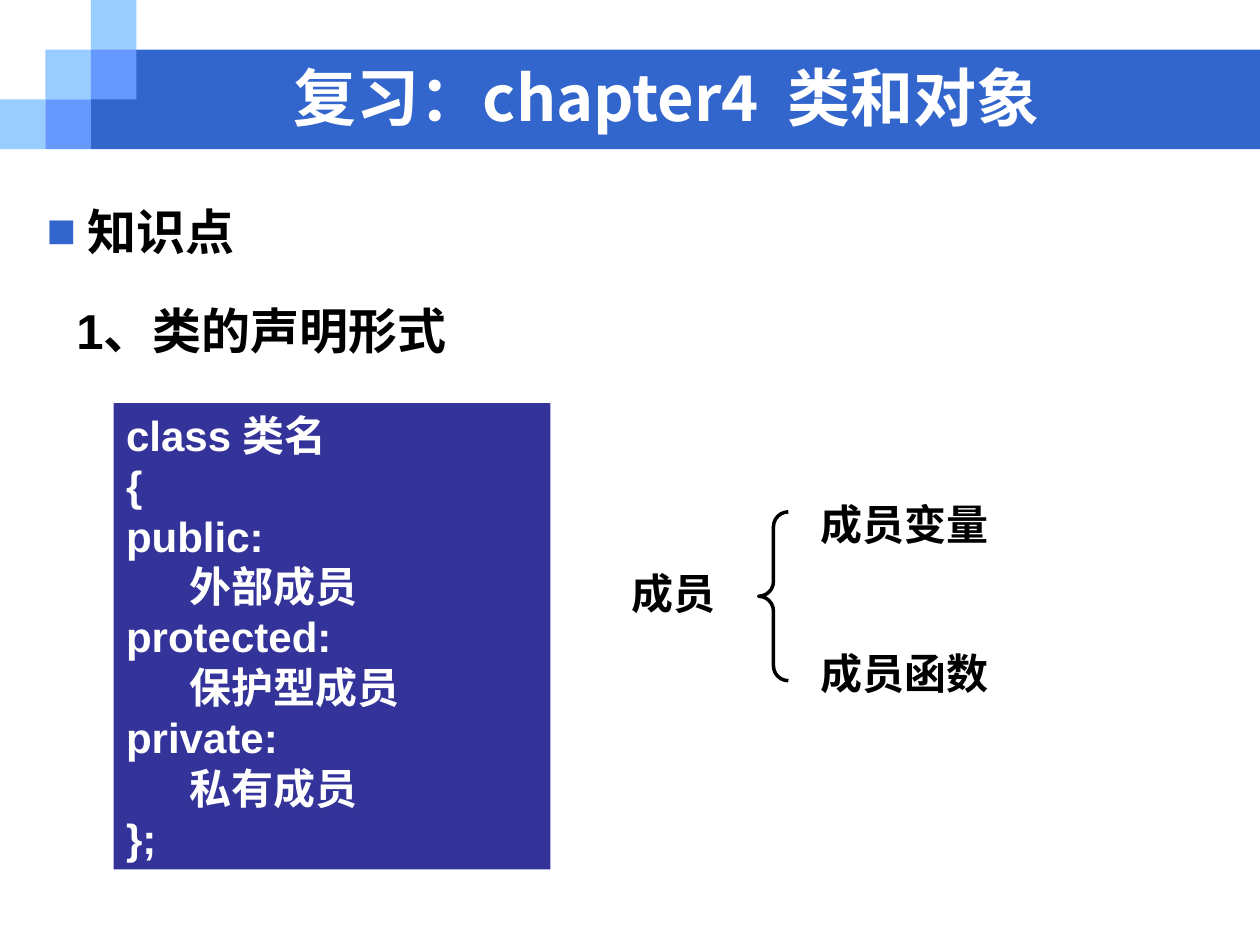
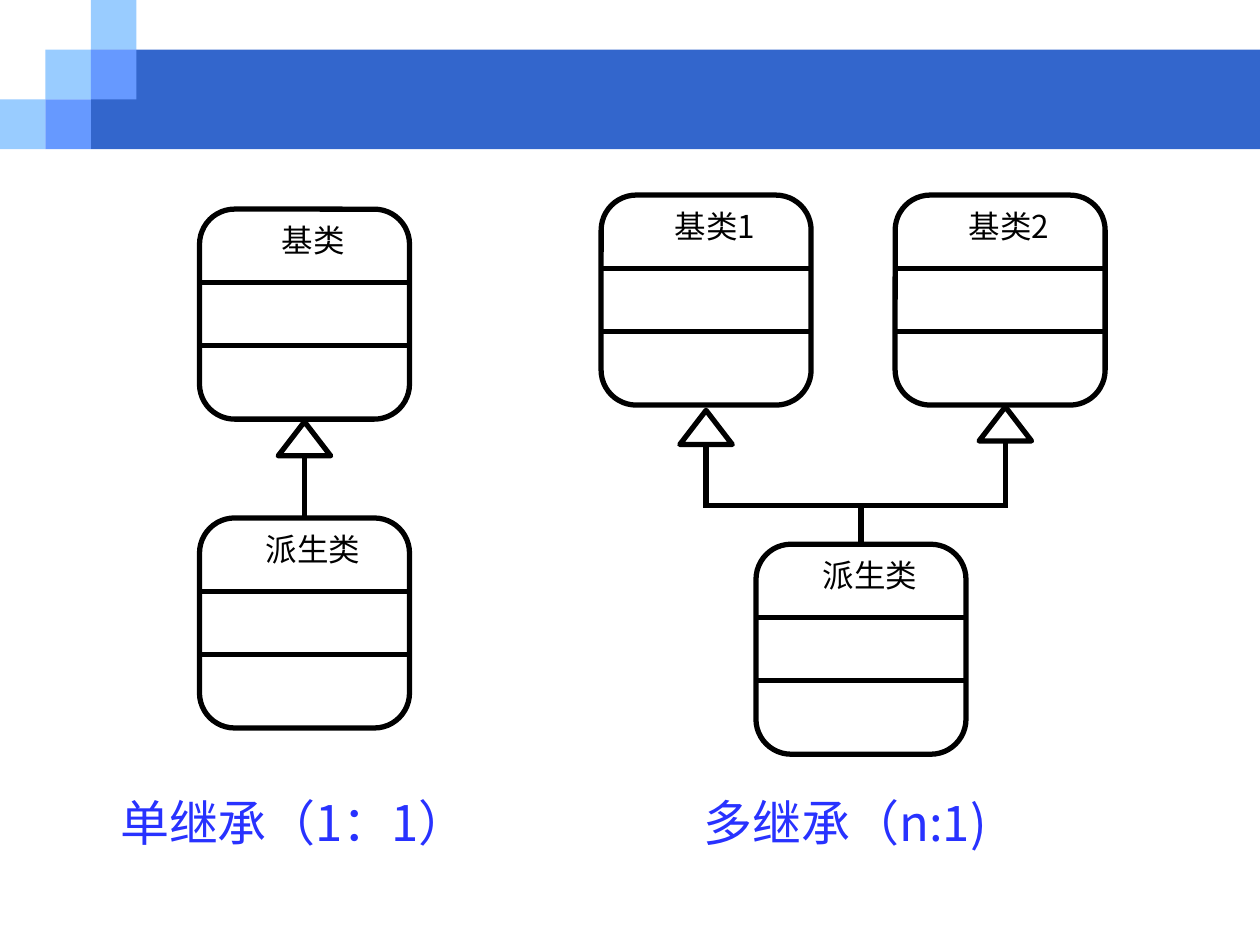
from lxml.etree import SubElement
from pptx import Presentation
from pptx.dml.color import RGBColor
from pptx.enum.shapes import MSO_CONNECTOR as Connector, MSO_SHAPE as Shape
from pptx.enum.text import MSO_ANCHOR as Anchor, PP_ALIGN as Align
from pptx.oxml.ns import qn
from pptx.util import Pt

BAND_BLUE = RGBColor(0x33, 0x66, 0xCC)
SKY_BLUE = RGBColor(0x99, 0xCC, 0xFF)
MID_BLUE = RGBColor(0x66, 0x99, 0xFF)
CODE_BLUE = RGBColor(0x33, 0x33, 0x99)
CAPTION_BLUE = RGBColor(0x28, 0x32, 0xFF)
BLACK = RGBColor(0, 0, 0)
WHITE = RGBColor(0xFF, 0xFF, 0xFF)

LATIN = "Arial"
CJK = "Noto Sans CJK SC"
TITLE_FONT = "Noto Sans CJK JP"

# Header mosaic: tile size, then column, row and colour of each tile
TILE_W, TILE_H = 26, 28.4
TILES = [(0, 2, SKY_BLUE), (1, 1, SKY_BLUE), (2, 0, SKY_BLUE),
         (2, 1, MID_BLUE), (1, 2, MID_BLUE)]

# Class diagram
CLASS_SIZE = 120
DIVIDERS = (42, 78)
ARROW_W, ARROW_H = 30, 19.5
STROKE = 3

CODE = ["class 类名", "{", "public:", "\t外部成员", "protected:",
        "\t保护型成员", "private:", "\t私有成员", "};"]


class SlideBuilder:
    def __init__(self, deck):
        self.deck = deck
        self.slide = None

    def new_slide(self, title=None):
        self.slide = self.deck.slides.add_slide(self.deck.slide_layouts[6])
        self.block(2 * TILE_W, TILE_H, 720 - 2 * TILE_W, 2 * TILE_H, BAND_BLUE)
        for column, row, color in TILES:
            self.block(column * TILE_W, row * TILE_H, TILE_W, TILE_H, color)
        if title:
            box = self.text([title], 90, 36, 582, 38, 36, WHITE, True,
                            TITLE_FONT, TITLE_FONT, Align.CENTER)
            frame = box.text_frame
            frame.vertical_anchor = Anchor.MIDDLE
            frame.margin_top = frame.margin_bottom = 0

    def shape(self, kind, left, top, width, height, fill=None, line=None):
        shape = self.slide.shapes.add_shape(
            kind, Pt(left), Pt(top), Pt(width), Pt(height))
        shape.shadow.inherit = False
        if fill is None:
            shape.fill.background()
        else:
            shape.fill.solid()
            shape.fill.fore_color.rgb = fill
        if line is None:
            shape.line.fill.background()
        else:
            shape.line.color.rgb = BLACK
            shape.line.width = Pt(line)
        return shape

    def block(self, left, top, width, height, color):
        return self.shape(Shape.RECTANGLE, left, top, width, height, color)

    def text(self, lines, left, top, width, height, size, color=BLACK,
             bold=False, latin=LATIN, asian=CJK, align=Align.LEFT,
             spacing=None, bullet=False):
        box = self.slide.shapes.add_textbox(
            Pt(left), Pt(top), Pt(width), Pt(height))
        frame = box.text_frame
        frame.word_wrap = True
        frame.text = "\n".join(lines)
        for para in frame.paragraphs:
            para.alignment = align
            if spacing:
                para.line_spacing = spacing
            if bullet:
                self.add_bullet(para)
            for span in para.runs:
                font = span.font
                font.name, font.size, font.bold = latin, Pt(size), bold
                font.color.rgb = color
                latin_tag = font._element.find(qn("a:latin"))
                asian_tag = latin_tag.makeelement(qn("a:ea"), {"typeface": asian})
                latin_tag.addnext(asian_tag)
        return box

    def add_bullet(self, para):
        props = para._p.get_or_add_pPr()
        props.set("marL", str(Pt(23.5)))
        props.set("indent", str(-Pt(23.5)))
        color = SubElement(props, qn("a:buClr"))
        SubElement(color, qn("a:srgbClr"), val=str(BAND_BLUE))
        SubElement(props, qn("a:buFont"), typeface=LATIN)
        SubElement(props, qn("a:buChar"), char="■")

    def line(self, x1, y1, x2, y2, end_box=None):
        line = self.slide.shapes.add_connector(
            Connector.STRAIGHT, Pt(x1), Pt(y1), Pt(x2), Pt(y2))
        line.line.color.rgb = BLACK
        line.line.width = Pt(STROKE)
        SubElement(line._element.spPr, qn("a:effectLst"))
        if end_box is not None:
            line.end_connect(end_box, 0)

    def class_box(self, name, left, top, label_inset, label_width):
        box = self.shape(Shape.ROUNDED_RECTANGLE, left, top,
                         CLASS_SIZE, CLASS_SIZE, line=STROKE)
        box.adjustments[0] = 0.167
        for offset in DIVIDERS:
            self.line(left, top + offset, left + CLASS_SIZE, top + offset)
        self.text([name], left + label_inset, top + 5, label_width, 28, 18,
                  latin=CJK, align=Align.CENTER, spacing=0.95)
        return box

    def base_class(self, name, left, top):
        return self.class_box(name, left, top, 26, 78)

    def derived_class(self, name, left, top):
        return self.class_box(name, left, top, 10, 110)

    def inherit_arrow(self, center, top, bottom, end_box=None):
        self.shape(Shape.ISOSCELES_TRIANGLE, center - ARROW_W / 2, top,
                   ARROW_W, ARROW_H, line=STROKE)
        self.line(center, top + ARROW_H, center, bottom, end_box)

    def caption(self, words, left, width, height):
        self.text([words], left, 452, width, height, 28, CAPTION_BLUE,
                  latin=CJK, align=Align.CENTER, spacing=0.95)


def class_declaration(page):
    page.new_slide("复习：chapter4  类和对象")
    page.text(["知识点"], 19.5, 111.5, 351, 41, 28, bold=True, bullet=True)
    page.text(["1、类的声明形式"], 36.5, 168, 578, 41, 28, bold=True)

    # Code panel
    page.block(65, 230.4, 249.5, 266.4, CODE_BLUE)
    page.text(CODE, 65, 230.4, 249.5, 266.4, 24, WHITE, True)

    # Kinds of members
    for words, left, top, width in [("成员", 354, 321, 74),
                                    ("成员变量", 462, 281.5, 122),
                                    ("成员函数", 462, 366.5, 122)]:
        page.text([words], left, top, width, 36, 24, bold=True)
    brace = page.shape(Shape.LEFT_BRACE, 433.5, 292.5, 17, 96.5, line=2)
    brace.adjustments[0] = 0.5


def inheritance(page):
    page.new_slide()

    # Single inheritance
    page.base_class("基类", 114, 119.5)
    derived = page.derived_class("派生类", 114, 296)
    page.inherit_arrow(114 + CLASS_SIZE / 2, 241, 296, derived)
    page.caption("单继承（1：1）", 60, 216, 71)

    # Multiple inheritance
    bar = 289
    page.base_class("基类1", 343.5, 111.5)
    page.base_class("基类2", 511.5, 111.5)
    derived = page.derived_class("派生类", 432, 311)
    page.inherit_arrow(403.5, 234.5, bar)
    page.inherit_arrow(574.5, 232.5, bar)
    page.line(402, bar, 576, bar)
    page.line(492, bar, 492, 311, derived)
    page.caption("多继承（n:1)", 378, 210, 39)


def main():
    deck = Presentation()
    deck.slide_width, deck.slide_height = Pt(720), Pt(540)
    page = SlideBuilder(deck)
    class_declaration(page)
    inheritance(page)
    deck.save("out.pptx")


if __name__ == "__main__":
    main()
